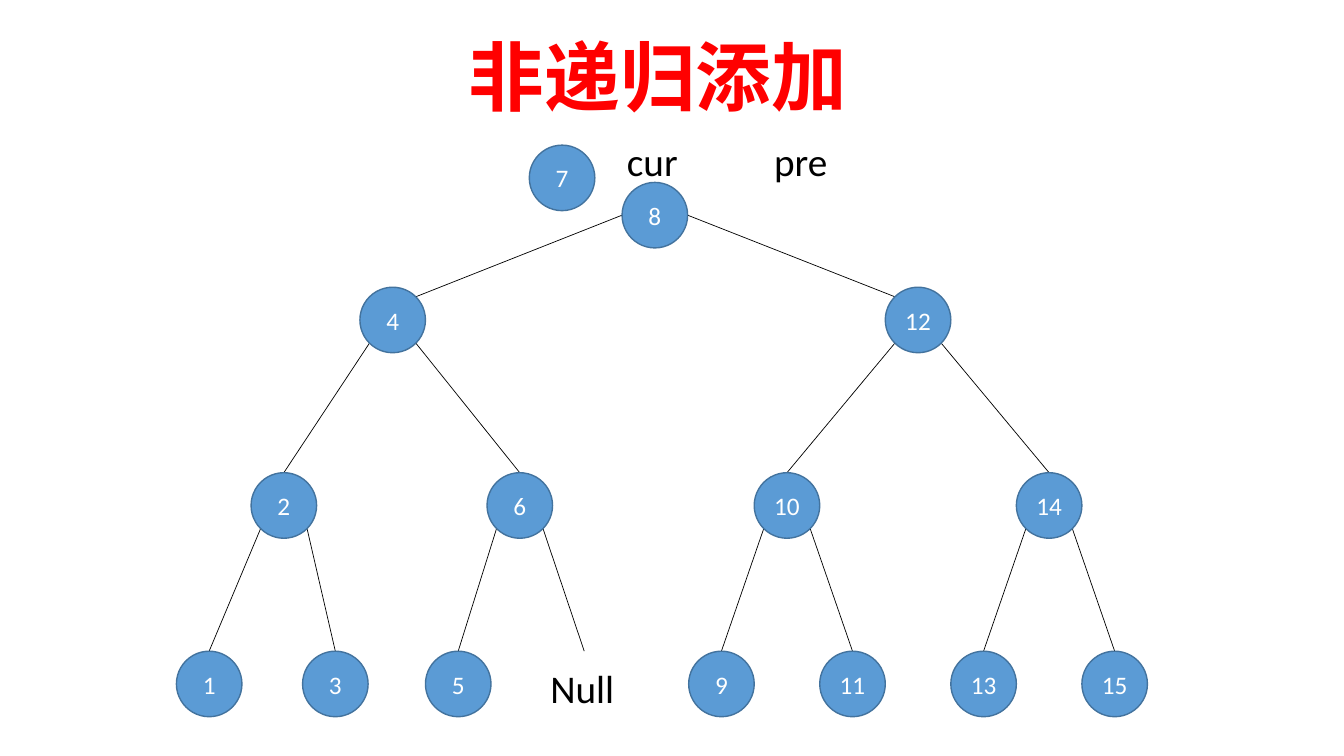
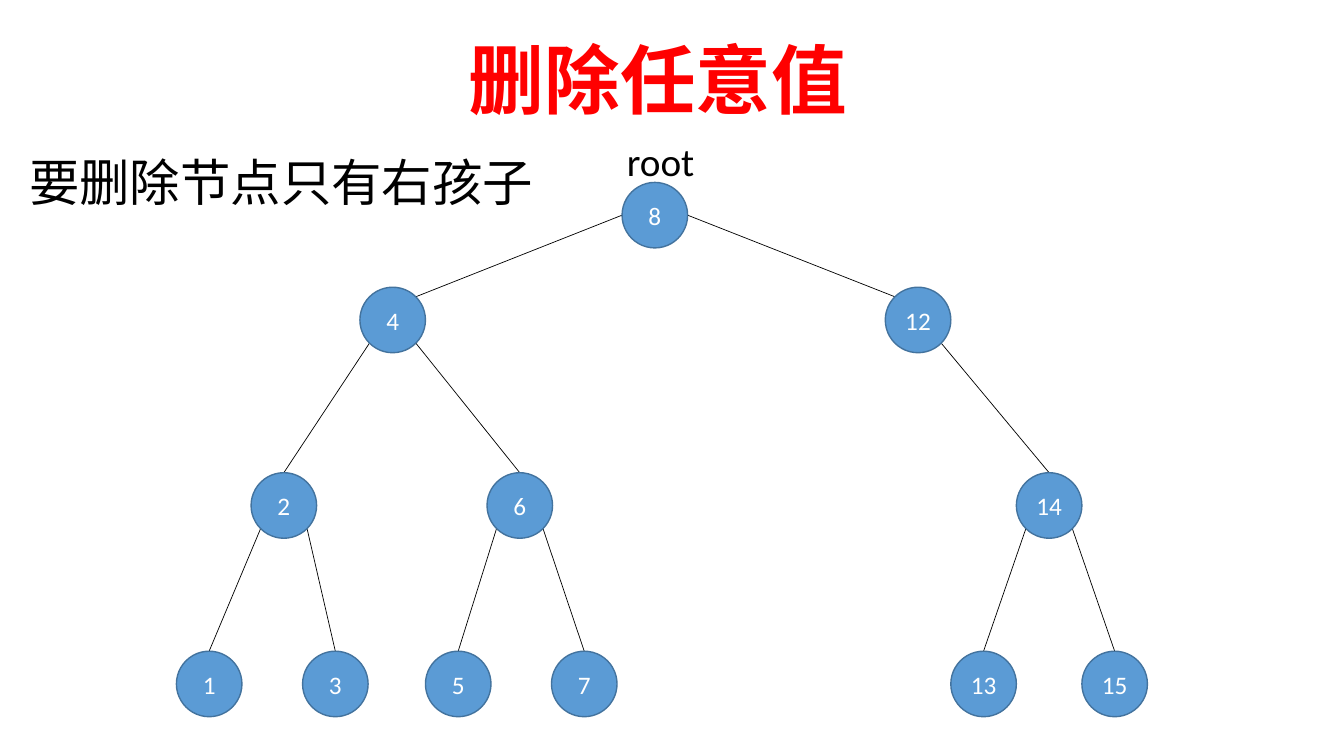
from lxml import etree
from pptx import Presentation
from pptx.dml.color import RGBColor
from pptx.enum.shapes import MSO_CONNECTOR, MSO_SHAPE
from pptx.enum.text import MSO_ANCHOR, MSO_AUTO_SIZE, PP_ALIGN
from pptx.oxml.ns import qn
from pptx.util import Inches, Pt

WIDE, HIGH = Inches(13.33), Inches(7.5)
LINE, OVAL = MSO_CONNECTOR.STRAIGHT, MSO_SHAPE.OVAL
TOP, MIDDLE = MSO_ANCHOR.TOP, MSO_ANCHOR.MIDDLE
LEFT, CENTER = PP_ALIGN.LEFT, PP_ALIGN.CENTER
FIXED = MSO_AUTO_SIZE.NONE
FACE = "Calibri"
RED, BLACK, WHITE = "FF0000", "000000", "FFFFFF"
BLUE, EDGE = "5B9BD5", "43739E"

TITLE = {"size": Pt(54), "bold": True, "name": FACE}
NODE = {"size": Pt(18), "name": FACE}
LABEL = {"size": Pt(28), "name": FACE}
NOTE = {"size": Pt(36), "name": FACE}
TIGHT = {"margin_left": 0, "margin_right": 0, "margin_top": 0,
         "margin_bottom": 0, "word_wrap": False, "vertical_anchor": MIDDLE}
PLAIN = {"word_wrap": True, "auto_size": FIXED, "vertical_anchor": TOP}

TREE = (13.13, 24.13, 72.24, 70.67)
SIZE = Inches(0.65)
DIAG = 0.71
ROOT = 8
ROWS = {8: 6.13, 4: 25.75, 2: 60.47, 1: 93.87}
COLS = {1: 3.37, 2: 11.06, 3: 16.36, 4: 22.27,
        5: 29.02, 6: 35.36, 7: 42, 8: 49.27}
COLS.update({key: 56.13 + 6.75 * (key - 9) for key in range(9, 16)})


def color(code):
    return RGBColor.from_string(code)


def apply(item, values):
    for name, value in values.items():
        setattr(item, name, value)


def place(box):
    return [round(side * share / 100)
            for side, share in zip((WIDE, HIGH, WIDE, HIGH), box)]


def write(shape, text, font, shade, frame, align):
    apply(shape.text_frame, frame)
    line = shape.text_frame.paragraphs[0]
    line.alignment = align
    run = line.add_run()
    run.text = text
    apply(run.font, font)
    run.font.color.rgb = color(shade)


def label(slide, text, box, font=LABEL):
    shape = slide.shapes.add_textbox(*place(box))
    write(shape, text, font, BLACK, PLAIN, LEFT)


def head(slide, text, box):
    title = slide.shapes.title
    apply(title, dict(zip(("left", "top", "width", "height"), place(box))))
    write(title, text, TITLE, RED, PLAIN, LEFT)


def node(slide, key, x, y):
    shape = slide.shapes.add_shape(
        OVAL, x - SIZE // 2, y - SIZE // 2, SIZE, SIZE)
    shape.shadow.inherit = False
    shape.fill.solid()
    shape.fill.fore_color.rgb = color(BLUE)
    shape.line.color.rgb = color(EDGE)
    shape.line.width = Pt(1)
    write(shape, str(key), NODE, WHITE, TIGHT, CENTER)


def link(slide, start, end):
    line = slide.shapes.add_connector(LINE, *start, *end)
    line.line.color.rgb = color(BLACK)
    line.line.width = Pt(0.5)
    etree.SubElement(line._element.spPr, qn("a:effectLst"))


def tree(slide, box, keys, empty=()):
    left, top, width, height = place(box)

    def spot(key, across=0, down=0):
        x = left + width * COLS[key] / 100 + across * SIZE / 2
        y = top + height * ROWS[key & -key] / 100 + down * SIZE / 2
        return round(x), round(y)

    for key in keys:
        half = (key & -key) // 2
        for side in (-1, 1):
            kid = key + side * half
            if not half or kid not in (*keys, *empty):
                continue
            if key == ROOT:
                start, end = spot(key, side), spot(kid, -side * DIAG, -DIAG)
            else:
                start, end = spot(key, side * DIAG, DIAG), spot(kid, 0, -1)
            link(slide, start, end)
    for key in keys:
        node(slide, key, *spot(key))


def page(deck, title, top, keys, empty=()):
    slide = deck.slides.add_slide(deck.slide_layouts[5])
    head(slide, title, (34.13, top, 50, 13.47))
    tree(slide, TREE, keys, empty)
    return slide


def insert(deck):
    keys = [key for key in range(1, 16) if key != 7]
    slide = page(deck, "非递归添加", 3.33, keys, (7,))
    node(slide, 7, *place((41.82, 23.53)))
    label(slide, "Null", (40.21, 87.2, 7, 7.6))
    label(slide, "cur", (45.91, 17.47, 6, 7.6))
    label(slide, "pre", (56.86, 17.47, 6, 7.6))


def delete(deck):
    keys = [key for key in range(1, 16) if key not in (9, 10, 11)]
    slide = page(deck, "删除任意值", 3.73, keys)
    label(slide, "root", (45.91, 17.47, 7.5, 7.6))
    label(slide, "要删除节点只有右孩子", (1.43, 19.33, 41, 9), NOTE)


def main():
    deck = Presentation()
    deck.slide_width, deck.slide_height = WIDE, HIGH
    insert(deck)
    delete(deck)
    deck.save("out.pptx")


if __name__ == "__main__":
    main()
